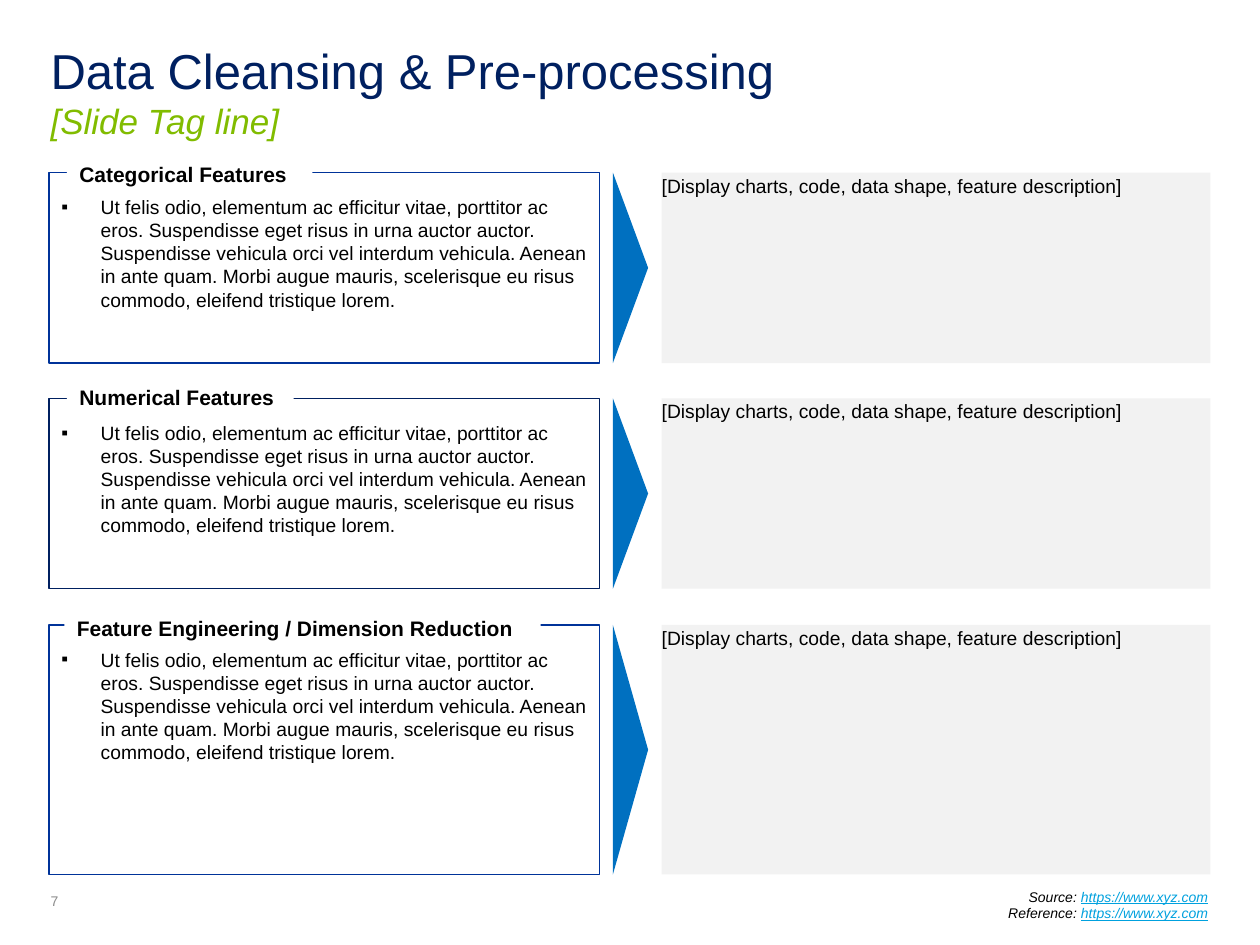
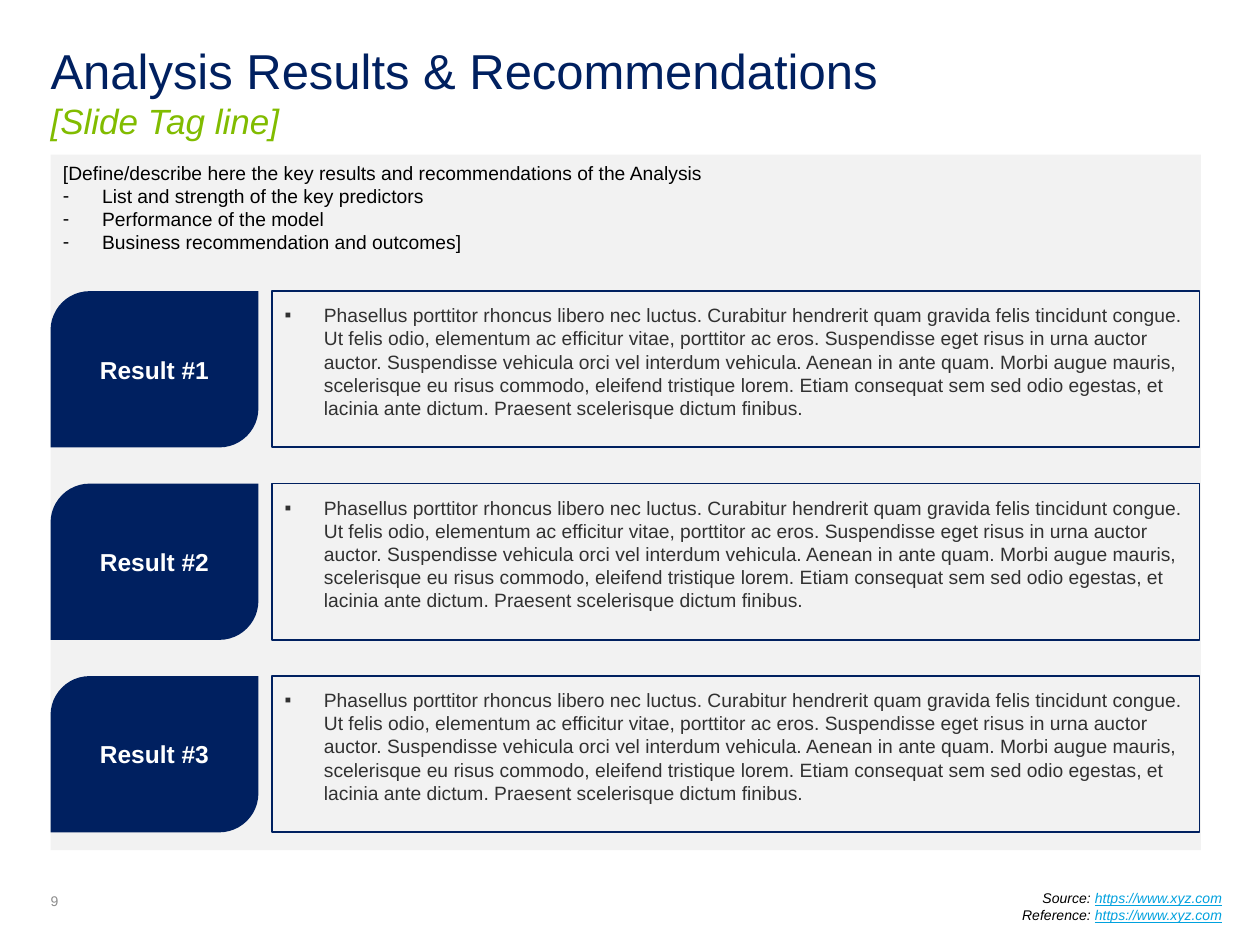
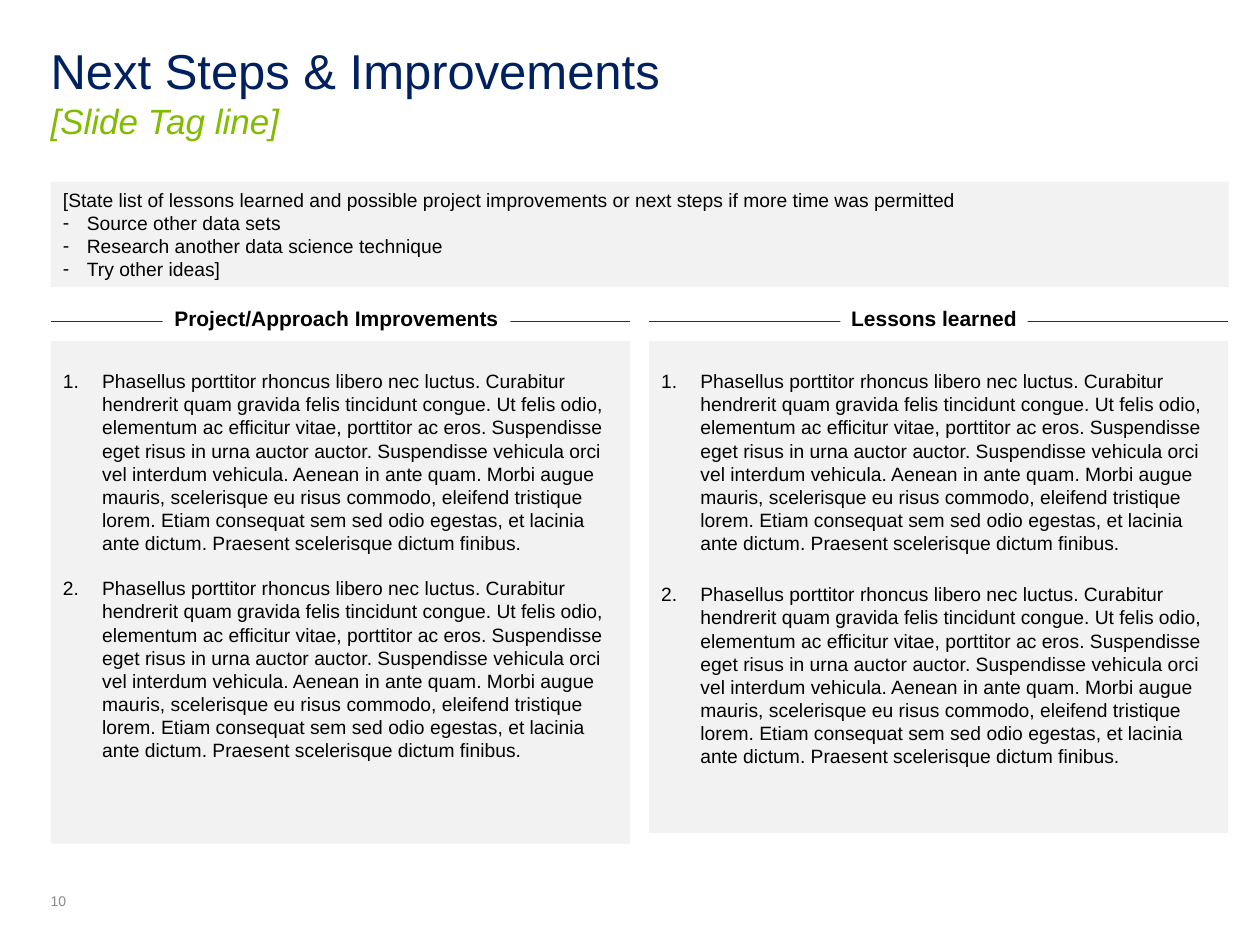
from lxml.etree import SubElement
from pptx import Presentation
from pptx.dml.color import RGBColor
from pptx.enum.shapes import MSO_CONNECTOR, MSO_SHAPE
from pptx.enum.text import MSO_ANCHOR, MSO_AUTO_SIZE, PP_ALIGN
from pptx.oxml.ns import qn
from pptx.util import Cm, Pt

FONT = "Arial"
COLORS = {name: RGBColor.from_string(value) for name, value in {
    "navy": "002060",
    "blue": "003399",
    "arrow": "0070C0",
    "green": "81BC00",
    "link": "00A1DE",
    "panel": "F2F2F2",
    "white": "FFFFFF",
    "black": "000000",
    "dark": "313131",
    "gray": "8C8C8C",
}.items()}

LEFT = 1.02
INDENT = 0.79
FEATURE_TEXT = (
    "Ut felis odio, elementum ac efficitur vitae, porttitor ac eros. "
    "Suspendisse eget risus in urna auctor auctor. Suspendisse vehicula orci "
    "vel interdum vehicula. Aenean in ante quam. Morbi augue mauris, "
    "scelerisque eu risus commodo, eleifend tristique lorem."
)
RESULT_TEXT = (
    "Phasellus porttitor rhoncus libero nec luctus. Curabitur hendrerit quam "
    f"gravida felis tincidunt congue. {FEATURE_TEXT} Etiam consequat sem sed "
    "odio egestas, et lacinia ante dictum. Praesent scelerisque dictum finibus."
)


def add_box(slide, left, top, width, height, fill=None, line=None, line_width=0.75,
            margins=(0.25, 0.13, 0.25, 0.13), kind=MSO_SHAPE.RECTANGLE):
    """Add a preset shape; lengths are in cm, margins are left, top, right, bottom."""
    shape = slide.shapes.add_shape(kind, Cm(left), Cm(top), Cm(width), Cm(height))
    shape.shadow.inherit = False
    if fill:
        shape.fill.solid()
        shape.fill.fore_color.rgb = COLORS[fill]
    else:
        shape.fill.background()
    if line:
        shape.line.color.rgb = COLORS[line]
        shape.line.width = Pt(line_width)
    else:
        shape.line.fill.background()
    frame = shape.text_frame
    frame.word_wrap = True
    frame.vertical_anchor = MSO_ANCHOR.TOP
    frame.margin_left, frame.margin_top, frame.margin_right, frame.margin_bottom = map(Cm, margins)
    return shape


def format_paragraph(paragraph, size=11, color="black", bold=False, align=PP_ALIGN.LEFT,
                     bullet=None, indent=INDENT):
    """Set font and alignment; bullet is a character, or "1." for numbering."""
    paragraph.alignment = align
    if bullet:
        properties = paragraph._p.get_or_add_pPr()
        properties.set("marL", str(Cm(indent)))
        properties.set("indent", str(-Cm(indent)))
        SubElement(properties, qn("a:buFont")).set("typeface", FONT)
        if bullet == "1.":
            SubElement(properties, qn("a:buAutoNum")).set("type", "arabicPeriod")
        else:
            SubElement(properties, qn("a:buChar")).set("char", bullet)
    font = paragraph.font
    font.name, font.size, font.bold = FONT, Pt(size), bold
    font.color.rgb = COLORS[color]


presentation = Presentation()
presentation.slide_width, presentation.slide_height = Cm(25.4), Cm(19.05)
layout = presentation.slide_layouts[5]

# Shared title, tag line and page number
slides = []
for title_text, page_number in [
    ("Data Cleansing & Pre-processing", "7"),
    ("Analysis Results & Recommendations", "9"),
    ("Next Steps & Improvements", "10"),
]:
    slide = presentation.slides.add_slide(layout)
    slides.append(slide)
    title = slide.shapes.title
    title.left, title.top, title.width, title.height = Cm(LEFT), Cm(0.81), Cm(23.37), Cm(1.3)
    frame = title.text_frame
    frame.auto_size = MSO_AUTO_SIZE.NONE
    frame.vertical_anchor = MSO_ANCHOR.TOP
    frame.margin_left = frame.margin_top = frame.margin_right = frame.margin_bottom = 0
    paragraph = frame.paragraphs[0]
    format_paragraph(paragraph, 28, "navy")
    paragraph.add_run().text = title_text
    paragraph.add_line_break()
    tag_line = paragraph.add_run()
    tag_line.text = "[Slide Tag line]"
    tag_line.font.size = Pt(20)
    tag_line.font.italic = True
    tag_line.font.color.rgb = COLORS["green"]

    number_box = slide.shapes.add_textbox(Cm(LEFT), Cm(18.01), Cm(1.27), Cm(0.33))
    frame = number_box.text_frame
    frame.margin_left = frame.margin_top = frame.margin_right = frame.margin_bottom = 0
    frame.vertical_anchor = MSO_ANCHOR.BOTTOM
    frame.text = page_number
    format_paragraph(frame.paragraphs[0], 8, "gray")

cleansing_slide, results_slide, steps_slide = slides

# Source and reference lines
for slide, left, top in [(cleansing_slide, 14.35, 17.78), (results_slide, 14.63, 17.81)]:
    source_box = slide.shapes.add_textbox(Cm(left), Cm(top), Cm(10.26), Cm(1.27))
    frame = source_box.text_frame
    frame.word_wrap = True
    frame.text = "Source: \nReference: "
    for paragraph in frame.paragraphs:
        format_paragraph(paragraph, 8, align=PP_ALIGN.RIGHT)
        paragraph.font.italic = True
        address = paragraph.add_run()
        address.text = "https://www.xyz.com"
        address.font.underline = True
        address.font.color.rgb = COLORS["link"]

# Data cleansing: feature box, arrow and display area per row
ARROW_CENTER, ARROW_DEPTH = 12.71, 0.71
for heading, top, height, line, label_left, label_top, label_width in [
    ("Categorical Features", 3.48, 3.84, "blue", 1.35, 3.1, 4.95),
    ("Numerical Features", 8.03, 3.84, "navy", 1.35, 7.59, 4.57),
    ("Feature Engineering / Dimension Reduction", 12.6, 5.03, "blue", 1.3, 12.24, 9.6),
]:
    feature_box = add_box(cleansing_slide, 0.99, top, 11.1, height, line=line,
                          margins=(0.25, 0.46, 0.25, 0.25))
    feature_box.text_frame.text = FEATURE_TEXT
    format_paragraph(feature_box.text_frame.paragraphs[0], bullet="▪")

    label = add_box(cleansing_slide, label_left, label_top, label_width, 0.76, fill="white")
    label.text_frame.text = heading
    paragraph = label.text_frame.paragraphs[0]
    format_paragraph(paragraph, 12, bold=True)
    paragraph.line_spacing = 1.06

    arrow = add_box(cleansing_slide, ARROW_CENTER - height / 2, top + (height - ARROW_DEPTH) / 2,
                    height, ARROW_DEPTH, fill="arrow", kind=MSO_SHAPE.ISOSCELES_TRIANGLE)
    arrow.rotation = 90

    display_area = add_box(cleansing_slide, 13.34, top, 11.06, height, fill="panel",
                           margins=(0, 0, 0, 0))
    display_area.text_frame.text = "[Display charts, code, data shape, feature description]"
    paragraph = display_area.text_frame.paragraphs[0]
    format_paragraph(paragraph)
    paragraph.line_spacing = 1.06

# Introductory panels of the results and next steps slides
for slide, top, width, height, indent, lines in [
    (results_slide, 3.12, 23.19, 14.02, INDENT, [
        "[Define/describe here the key results and recommendations of the Analysis",
        "List and strength of the key predictors",
        "Performance of the model",
        "Business recommendation and outcomes]",
    ]),
    (steps_slide, 3.66, 23.75, 2.13, 0.48, [
        "[State list of lessons learned and possible project improvements "
        "or next steps if more time was permitted",
        "Source other data sets",
        "Research another data science technique",
        "Try other ideas]",
    ]),
]:
    panel = add_box(slide, LEFT, top, width, height, fill="panel")
    panel.text_frame.text = "\n".join(lines)
    for index, paragraph in enumerate(panel.text_frame.paragraphs):
        format_paragraph(paragraph, bullet="-" if index else None, indent=indent)

# Result cards
for index in range(3):
    top = 5.87 + index * 3.88
    card = add_box(results_slide, LEFT, top, 4.19, 3.15, fill="navy",
                   kind=MSO_SHAPE.ROUND_2_DIAG_RECTANGLE)
    card.adjustments[0] = 0.25
    card.text_frame.vertical_anchor = MSO_ANCHOR.MIDDLE
    card.text_frame.text = f"Result #{index + 1}"
    format_paragraph(card.text_frame.paragraphs[0], 14, "white", True, PP_ALIGN.CENTER)

    description = add_box(results_slide, 5.49, top, 18.69, 3.15, fill="panel", line="navy",
                          line_width=1, margins=(0.25, 0.25, 0.25, 0.25))
    description.text_frame.text = RESULT_TEXT
    paragraph = description.text_frame.paragraphs[0]
    format_paragraph(paragraph, color="dark", bullet="▪")
    paragraph.space_before = Pt(4)

# Next steps: two numbered columns with headings on a rule
COLUMN_WIDTH, RULE_TOP = 11.68, 6.48
for heading, left, height, label_left, label_width, gap in [
    ("Project/Approach Improvements", LEFT, 10.13, 3.28, 7.01, 12.6),
    ("Lessons learned", 13.08, 9.91, 16.94, 3.78, 16.1),
]:
    column = add_box(steps_slide, left, 6.88, COLUMN_WIDTH, height, fill="panel",
                     margins=(0.25, 0.57, 0.25, 0.13))
    column.text_frame.text = "\n".join([RESULT_TEXT] * 2)
    for paragraph in column.text_frame.paragraphs:
        format_paragraph(paragraph, bullet="1.")
    column.text_frame.paragraphs[1].space_before = Pt(gap)

    rule = steps_slide.shapes.add_connector(
        MSO_CONNECTOR.STRAIGHT, Cm(left), Cm(RULE_TOP), Cm(left + COLUMN_WIDTH), Cm(RULE_TOP))
    rule.line.color.rgb = COLORS["blue"]
    rule.line.width = Pt(1)
    SubElement(rule._element.spPr, qn("a:effectLst"))

    label = add_box(steps_slide, label_left, 6.2, label_width, 0.48, fill="white",
                    margins=(0.2, 0, 0.2, 0))
    label.text_frame.word_wrap = False
    label.text_frame.vertical_anchor = MSO_ANCHOR.MIDDLE
    label.text_frame.text = heading
    paragraph = label.text_frame.paragraphs[0]
    format_paragraph(paragraph, 12, bold=True, align=PP_ALIGN.CENTER)
    paragraph.line_spacing = 0.95

presentation.save("out.pptx")
